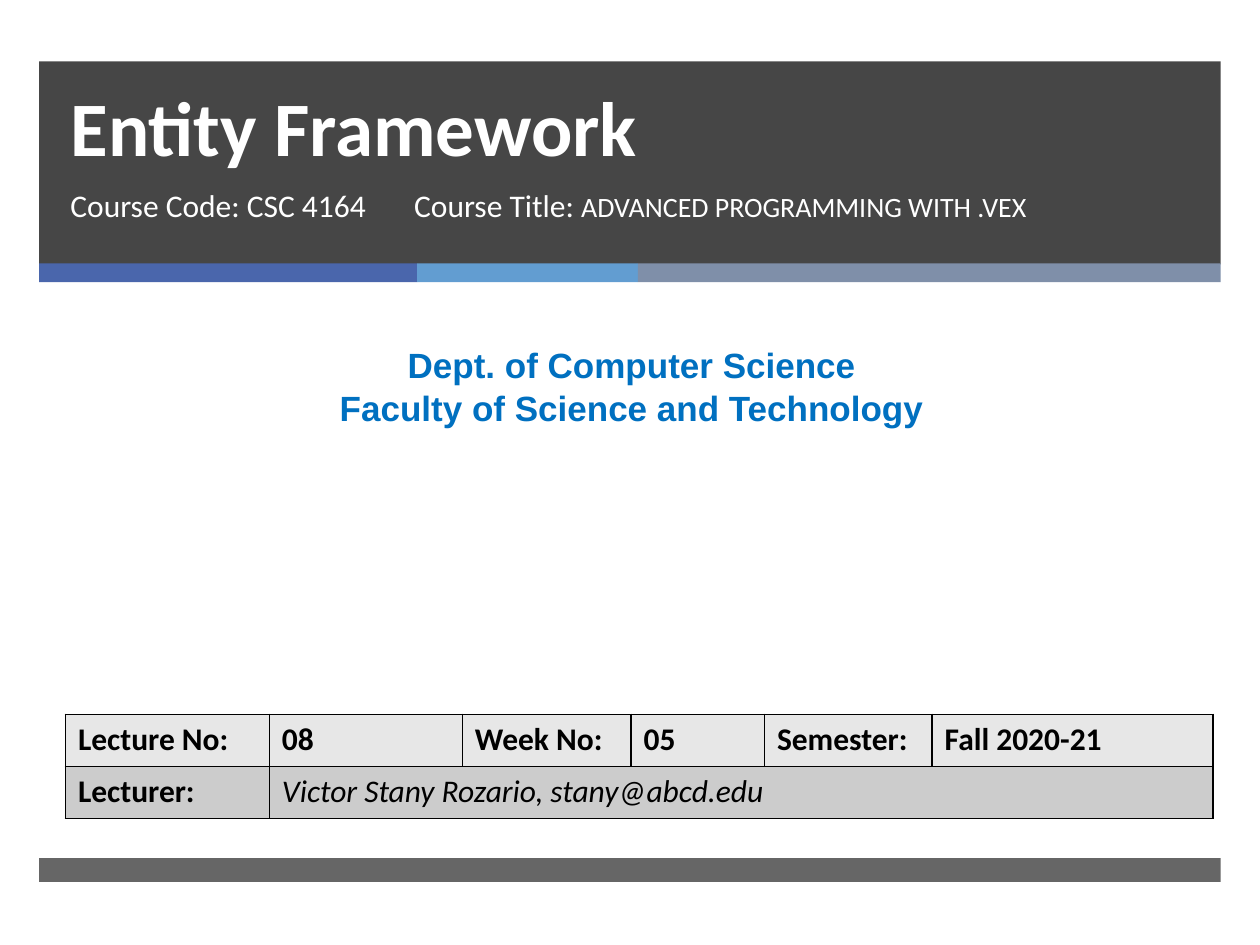
from lxml import etree
from pptx import Presentation
from pptx.dml.color import RGBColor
from pptx.enum.shapes import MSO_SHAPE
from pptx.enum.text import MSO_ANCHOR, MSO_AUTO_SIZE, PP_ALIGN
from pptx.oxml.ns import qn
from pptx.util import Cm, Pt

RECT = MSO_SHAPE.RECTANGLE
BOTTOM = MSO_ANCHOR.BOTTOM
FIXED = MSO_AUTO_SIZE.NONE
LEFT, CENTER = PP_ALIGN.LEFT, PP_ALIGN.CENTER

COLORS = {
    "dark": "262626", "blue": "4A66AC", "sky": "629DD1", "slate": "7F8FA9",
    "white": "FFFFFF", "dept": "0070C0", "black": "000000",
    "light": "E7E7E7", "gray": "CCCCCC",
}
EDGE, WIDTH = 0.79, 23.82
BANDS = [("blue", 7.62), ("sky", 4.45), ("slate", 11.75)]
COLS = [4.11, 3.89, 3.4, 2.69, 3.38, 5.66]
ROW = 1.05
HEAD = ["Lecture No:", "08", "Week No:", "05", "Semester:", "Fall 2020-21"]


def rgb(name):
    return RGBColor.from_string(COLORS[name])


def add_bar(slide, x, y, w, h, color, alpha=None):
    """Draw a plain bar; alpha is its opacity in percent."""
    bar = slide.shapes.add_shape(RECT, Cm(x), Cm(y), Cm(w), Cm(h))
    bar.shadow.inherit = False
    bar.line.fill.background()
    bar.fill.solid()
    bar.fill.fore_color.rgb = rgb(color)
    if alpha:
        tone = bar.fill._xPr.find(".//" + qn("a:srgbClr"))
        etree.SubElement(tone, qn("a:alpha"), val=str(alpha * 1000))


def add_run(para, text, size, color, font="Calibri", bold=False, italic=False):
    run = para.add_run()
    run.text = text
    face = run.font
    face.name, face.size = font, Pt(size)
    face.bold, face.italic = bold, italic
    face.color.rgb = rgb(color)


def add_box(slide, x, y, w, h):
    box = slide.shapes.add_textbox(Cm(x), Cm(y), Cm(w), Cm(h))
    box.text_frame.word_wrap = True
    return box.text_frame


def set_title(slide, text):
    title = slide.shapes.title
    title.left, title.top = Cm(1.17), Cm(1.24)
    title.width, title.height = Cm(21.29), Cm(2.36)
    frame = title.text_frame
    frame.auto_size = FIXED
    frame.vertical_anchor = BOTTOM
    para = frame.paragraphs[0]
    para.alignment = LEFT
    para.line_spacing = Pt(46)
    add_run(para, text, 44, "white", bold=True)


def set_cell(cell, fill, text="", italic=False):
    props = cell._tc.get_or_add_tcPr()
    for side in "LRTB":
        line = etree.SubElement(props, qn("a:ln" + side), w=str(Pt(1)))
        solid = etree.SubElement(line, qn("a:solidFill"))
        etree.SubElement(solid, qn("a:srgbClr"), val=COLORS["black"])
    cell.fill.solid()
    cell.fill.fore_color.rgb = rgb(fill)
    if text:
        add_run(cell.text_frame.paragraphs[0], text, 18, "black",
                bold=not italic, italic=italic)


def add_info(slide):
    """Add the table of lecture details."""
    count = len(COLS)
    table = slide.shapes.add_table(2, count, Cm(1.32), Cm(14.4),
                                   Cm(sum(COLS)), Cm(2 * ROW)).table
    for col, width in zip(table.columns, COLS):
        col.width = Cm(width)
    for row in table.rows:
        row.height = Cm(ROW)
    table.cell(1, 1).merge(table.cell(1, count - 1))
    for i, text in enumerate(HEAD):
        set_cell(table.cell(0, i), "light", text)
    names = ["Lecturer:", "Victor Stany Rozario, stany@abcd.edu"]
    for i in range(count):
        text = names[i] if i < len(names) else ""
        set_cell(table.cell(1, i), "gray", text, italic=i > 0)


def main():
    deck = Presentation()
    deck.slide_width, deck.slide_height = Cm(25.4), Cm(19.05)
    slide = deck.slides.add_slide(deck.slide_layouts[5])

    add_bar(slide, EDGE, 1.24, WIDTH, 4.09, "dark", 85)
    x = EDGE
    for color, width in BANDS:
        add_bar(slide, x, 5.31, width, 0.38, color)
        x += width
    add_bar(slide, EDGE, 17.3, WIDTH, 0.48, "dark", 70)

    # Bring the title in front of the header bar
    tree = slide.shapes._spTree
    tree.append(slide.shapes.title._element)
    set_title(slide, "Entity Framework")

    code = add_box(slide, 1.17, 3.63, 7.9, 1.96).paragraphs[0]
    add_run(code, "Course Code: CSC 4164", 18, "white")
    course = add_box(slide, 8.1, 3.63, 14.1, 1.96).paragraphs[0]
    add_run(course, "Course Title: ", 18, "white")
    add_run(course, "ADVANCED PROGRAMMING WITH .VEX", 16, "white")

    dept = add_box(slide, 0.2, 6.81, 25.07, 1.96)
    lines = ["Dept. of Computer Science", "Faculty of Science and Technology"]
    for i, text in enumerate(lines):
        para = dept.add_paragraph() if i else dept.paragraphs[0]
        para.alignment = CENTER
        add_run(para, text, 20, "dept", font="Arial", bold=True)

    add_info(slide)
    deck.save("out.pptx")


if __name__ == "__main__":
    main()
